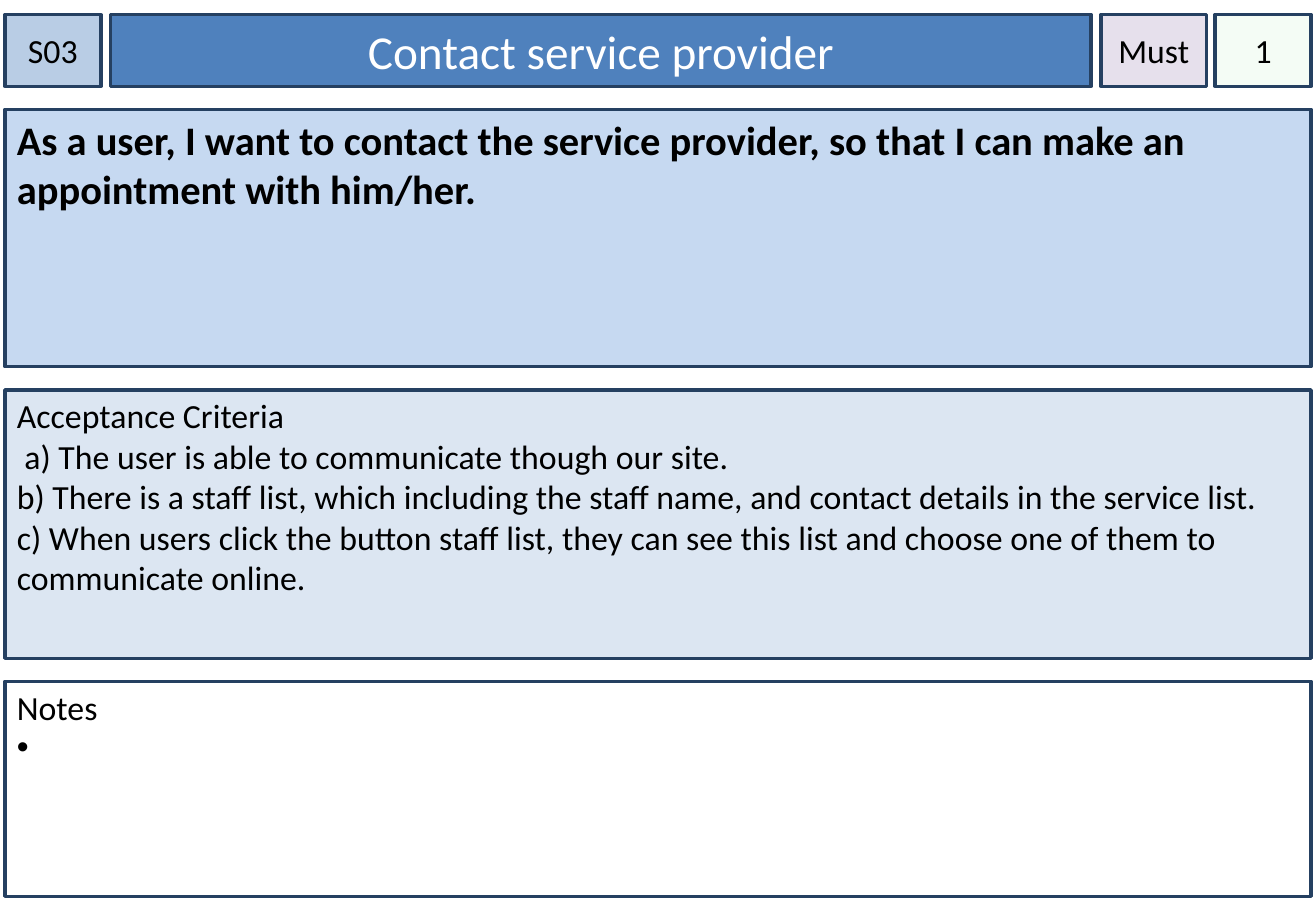
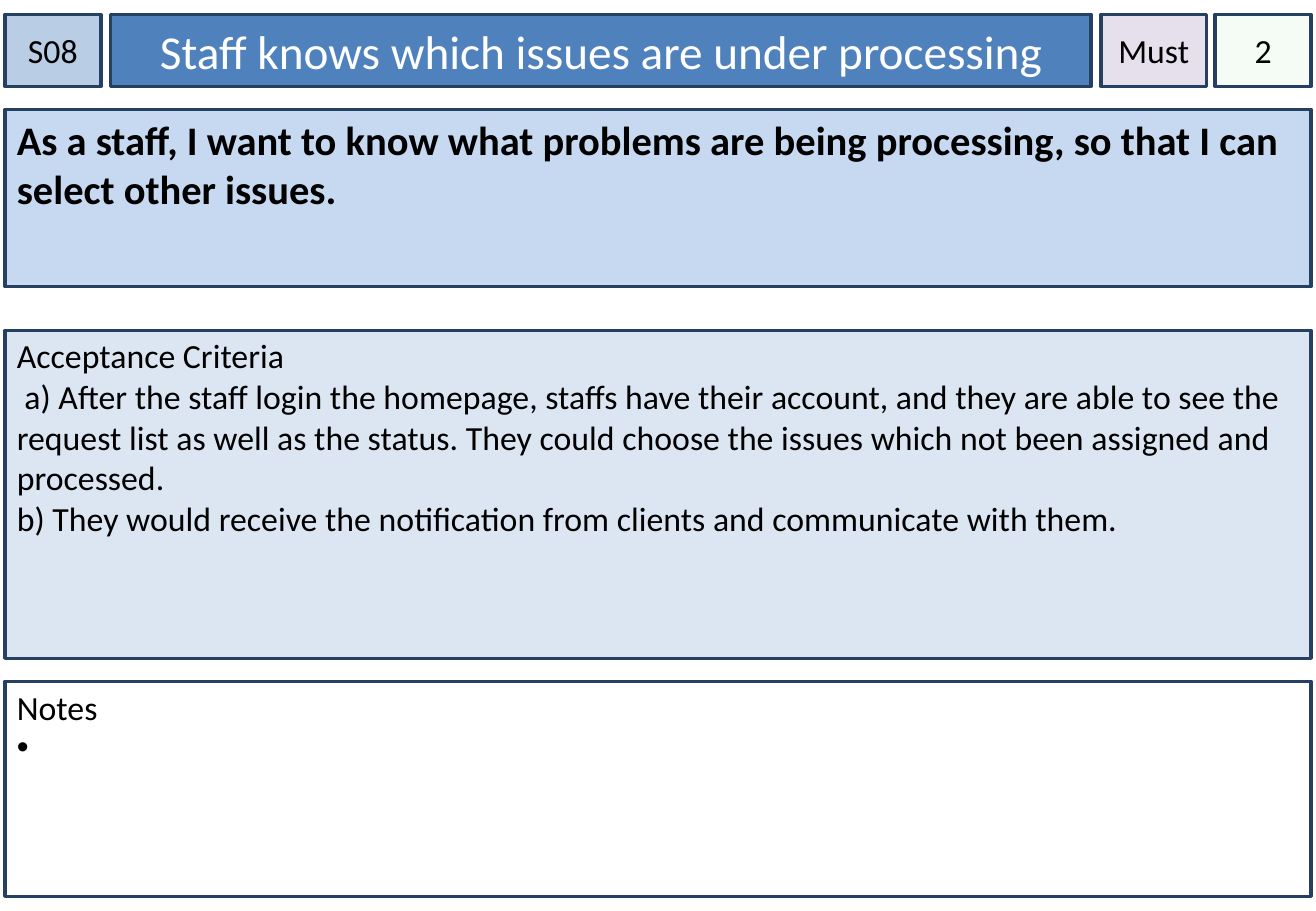
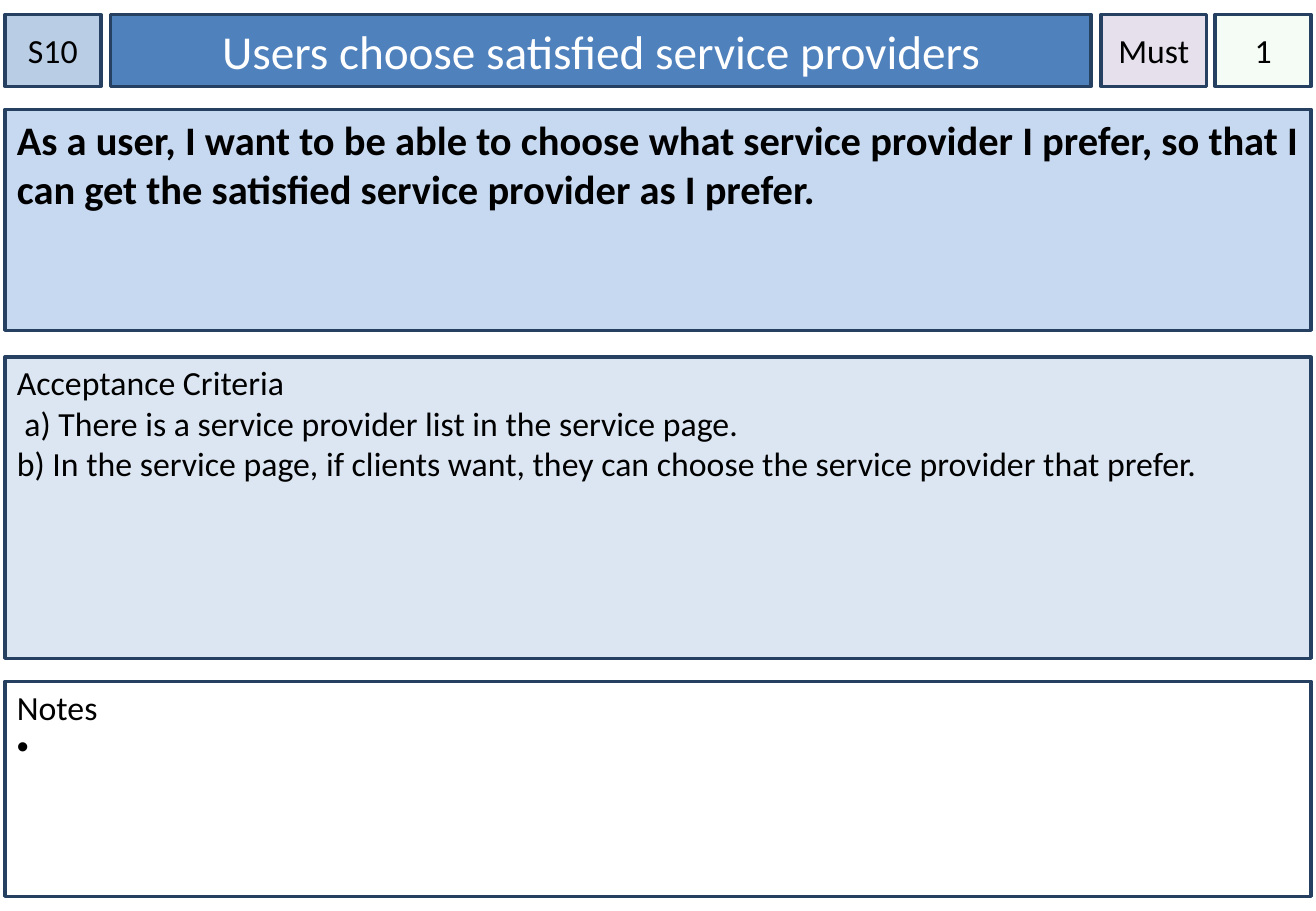
from lxml import etree
from pptx import Presentation, util as u
from pptx.dml.color import RGBColor
from pptx.enum import shapes, text
from pptx.oxml import ns

# Colours
NAVY = RGBColor(0x25, 0x40, 0x61)
BLUE = RGBColor(0x4F, 0x81, 0xBD)
STEEL = RGBColor(0xB9, 0xCD, 0xE5)
SKY = RGBColor(0xC6, 0xD9, 0xF1)
PALE = RGBColor(0xDC, 0xE6, 0xF2)
LILAC = RGBColor(0xE6, 0xE0, 0xEC)
GREEN = RGBColor(0xCC, 0xF0, 0xCD)
WHITE = RGBColor(0xFF, 0xFF, 0xFF)
BLACK = RGBColor(0x00, 0x00, 0x00)

# Card grid, in inches
LEFT, WIDTH = 0.04, 10.75
HEADER_TOP, HEADER_HEIGHT = 0.12, 0.59
STORY_TOP, CRITERIA_BOTTOM = 0.9, 5.42
NOTES_TOP, NOTES_HEIGHT = 5.61, 1.77

STORIES = [
    dict(code="S03", title="Contact service provider", priority="Must", points="1",
         story_height=2.12, criteria_top=3.21,
         story="As a user, I want to contact the service provider, so that I can make "
               "an appointment with him/her.",
         criteria=[
             " a) The user is able to communicate though our site.",
             "b) There is a staff list, which including the staff name, and contact "
             "details in the service list.",
             "c) When users click the button staff list, they can see this list and "
             "choose one of them to communicate online."]),
    dict(code="S08", title="Staff knows which issues are under processing",
         priority="Must", points="2", story_height=1.46, criteria_top=2.72,
         story="As a staff, I want to know what problems are being processing, so that "
               "I can select other issues.",
         criteria=[
             " a) After the staff login the homepage, staffs have their account, and "
             "they are able to see the request list as well as the status. They could "
             "choose the issues which not been assigned and processed.",
             "b) They would receive the notification from clients and communicate "
             "with them."]),
    dict(code="S10", title="Users choose satisfied service providers",
         priority="Must", points="1", story_height=1.82, criteria_top=2.94,
         story="As a user, I want to be able to choose what service provider I prefer, "
               "so that I can get the satisfied service provider as I prefer.",
         criteria=[
             " a) There is a service provider list in the service page.",
             "b) In the service page, if clients want, they can choose the service "
             "provider that prefer."]),
]


class StoryCards:
    """Style of the cards and the slide being filled."""

    def __init__(self):
        self.deck = Presentation()
        self.deck.slide_width = u.Inches(10.83)
        self.deck.slide_height = u.Inches(7.5)
        self.page = None

    def new_page(self):
        self.page = self.deck.slides.add_slide(self.deck.slide_layouts[5])

    def rectangle(self, left, top, width, height):
        return self.page.shapes.add_shape(
            shapes.MSO_SHAPE.RECTANGLE, *map(u.Inches, (left, top, width, height)))

    def dress(self, box, fill, lines, size=20, color=BLACK, bold=False,
              centred=False, side=0.1, inset_top=0.05):
        """Give a box its fill, outline and text."""
        box.shadow.inherit = False
        box.fill.solid()
        box.fill.fore_color.rgb = fill
        box.line.color.rgb = NAVY
        box.line.width = u.Pt(2)
        frame = box.text_frame
        anchor = text.MSO_ANCHOR.MIDDLE if centred else text.MSO_ANCHOR.TOP
        frame_format = dict(
            word_wrap=True, auto_size=text.MSO_AUTO_SIZE.NONE, vertical_anchor=anchor,
            margin_left=u.Inches(side), margin_right=u.Inches(side),
            margin_top=u.Inches(inset_top), margin_bottom=u.Inches(0.05))
        for name, value in frame_format.items():
            setattr(frame, name, value)
        for index, line in enumerate(lines):
            para = frame.add_paragraph() if index else frame.paragraphs[0]
            para.alignment = text.PP_ALIGN.CENTER if centred else text.PP_ALIGN.LEFT
            span = para.add_run()
            span.text = line
            for name, value in dict(name="Calibri", size=u.Pt(size), bold=bold).items():
                setattr(span.font, name, value)
            span.font.color.rgb = color

    def title(self, words):
        box = self.page.shapes.title
        place = dict(left=0.91, top=HEADER_TOP, width=8.07, height=HEADER_HEIGHT)
        for name, value in place.items():
            setattr(box, name, u.Inches(value))
        self.dress(box, BLUE, [words], size=28, color=WHITE, centred=True)

    def badge(self, left, width, fill, words):
        box = self.rectangle(left, HEADER_TOP, width, HEADER_HEIGHT)
        self.dress(box, fill, [words], centred=True, side=0)
        return box

    def panel(self, top, height, fill, lines, **style):
        box = self.rectangle(LEFT, top, WIDTH, height)
        self.dress(box, fill, lines, **style)
        return box

    def fade(self, box, percent):
        """Set the opacity of a solid fill."""
        tint = box.fill._xPr.find(ns.qn("a:solidFill")).find(ns.qn("a:srgbClr"))
        etree.SubElement(tint, ns.qn("a:alpha"), val=str(percent * 1000))

    def bullet(self, para):
        props = para._p.get_or_add_pPr()
        props.set("marL", str(u.Inches(0.2)))
        props.set("indent", str(u.Inches(-0.2)))
        etree.SubElement(props, ns.qn("a:buFont"), typeface="Arial")
        etree.SubElement(props, ns.qn("a:buChar"), char="•")

    def card(self, story):
        self.new_page()
        # Header row
        self.badge(LEFT, 0.79, STEEL, story["code"])
        self.title(story["title"])
        self.badge(9.06, 0.87, LILAC, story["priority"])
        self.fade(self.badge(10, 0.79, GREEN, story["points"]), 20)
        # Panels
        self.panel(STORY_TOP, story["story_height"], SKY, [story["story"]],
                   size=24, bold=True)
        top = story["criteria_top"]
        self.panel(top, CRITERIA_BOTTOM - top, PALE,
                   ["Acceptance Criteria", *story["criteria"]], inset_top=0.04)
        # The single space keeps the empty bullet visible
        notes = self.panel(NOTES_TOP, NOTES_HEIGHT, WHITE, ["Notes", " "],
                           inset_top=0.04)
        self.bullet(notes.text_frame.paragraphs[1])


def main():
    cards = StoryCards()
    for story in STORIES:
        cards.card(story)
    cards.deck.save("out.pptx")


if __name__ == "__main__":
    main()
